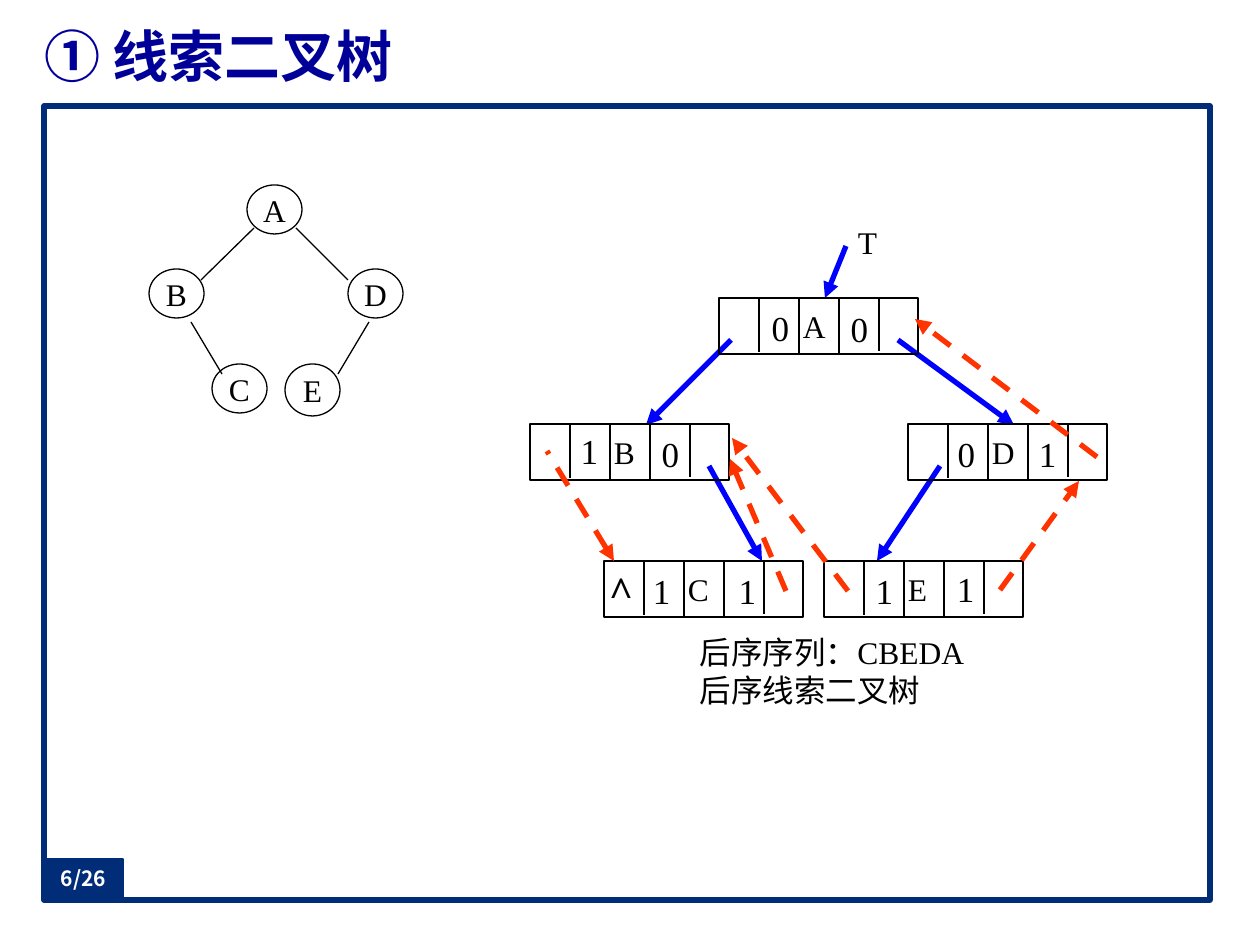
from typing import NamedTuple

from lxml.etree import SubElement
from pptx import Presentation
from pptx.dml.color import RGBColor
from pptx.enum.dml import MSO_LINE
from pptx.enum.shapes import MSO_CONNECTOR, MSO_SHAPE
from pptx.enum.text import MSO_ANCHOR as Anchor, PP_ALIGN as Align
from pptx.oxml.ns import qn
from pptx.util import Emu, Pt

EMU_PER_PX = 914400 / 126
NAVY = RGBColor(0x01, 0x2D, 0x78)
TITLE_BLUE = RGBColor(0x00, 0x00, 0x99)
POINTER_BLUE = RGBColor(0x00, 0x00, 0xFF)
THREAD_RED = RGBColor(0xFF, 0x33, 0x00)
BLACK = RGBColor(0x00, 0x00, 0x00)
WHITE = RGBColor(0xFF, 0xFF, 0xFF)
SERIF = "Times New Roman"
CJK = "Noto Sans CJK SC"
RECORD_WIDTH, RECORD_HEIGHT = 199, 56
DIVIDER_HEIGHTS = (54, 56, 56, 53)
CELL_WIDTH = 40


class Box(NamedTuple):
    left: int
    top: int
    width: int
    height: int


class Segment(NamedTuple):
    x1: int
    y1: int
    x2: int
    y2: int
    arrow_end: str = "tailEnd"


class Style(NamedTuple):
    size: int = 18
    color: RGBColor = BLACK
    bold: bool = False
    font: str = SERIF
    align: Align = Align.CENTER
    anchor: Anchor = Anchor.MIDDLE


class Tag(NamedTuple):
    text: str
    dx: int
    dy: int


class Record(NamedTuple):
    name: str
    left: int
    top: int
    tags: tuple[Tag, Tag]


class TreeNode(NamedTuple):
    name: str
    left: int
    top: int
    height: int = 49


POINTERS = (
    Segment(731, 340, 646, 425),
    Segment(898, 340, 1014, 425),
    Segment(709, 466, 762, 561),
    Segment(940, 466, 877, 561),
    Segment(846, 246, 825, 298),
)
THREADS = (
    Segment(614, 561, 547, 451, "headEnd"),
    Segment(786, 591, 730, 459),
    Segment(848, 591, 732, 438),
    Segment(1000, 590, 1079, 481),
    Segment(1097, 457, 915, 319),
)
RECORDS = (
    Record("A", 719, 298, (Tag("0", 40, 2), Tag("0", 119, 3))),
    Record("B", 530, 424, (Tag("1", 38, -1), Tag("0", 119, 2))),
    Record("D", 908, 424, (Tag("0", 37, 2), Tag("1", 118, 2))),
    Record("C", 604, 561, (Tag("1", 36, 2), Tag("1", 122, 2))),
    Record("E", 824, 561, (Tag("1", 39, 2), Tag("1", 120, 0))),
)
TREE_NODES = (
    TreeNode("A", 247, 185),
    TreeNode("B", 149, 269),
    TreeNode("C", 212, 364),
    TreeNode("D", 348, 269),
    TreeNode("E", 285, 364, 52),
)
TREE_EDGES = (
    Segment(254, 228, 201, 280),
    Segment(296, 228, 348, 280),
    Segment(191, 322, 222, 374),
    Segment(369, 322, 338, 374),
)


def px(length: int) -> Emu:
    return Emu(round(length * EMU_PER_PX))


def write(shape, text: str, style: Style, margin_left: int = 0, wrap: bool = False) -> None:
    frame = shape.text_frame
    frame.word_wrap = wrap
    frame.vertical_anchor = style.anchor
    frame.margin_left = px(margin_left)
    frame.margin_right = frame.margin_top = frame.margin_bottom = 0
    frame.text = text
    for paragraph in frame.paragraphs:
        paragraph.alignment = style.align
        font = paragraph.font
        font.size = Pt(style.size)
        font.bold = style.bold
        font.color.rgb = style.color
        font.name = style.font
        SubElement(font._element, qn("a:ea")).set("typeface", CJK)


def add_text(slide, box: Box, text: str, style: Style) -> None:
    write(slide.shapes.add_textbox(*map(px, box)), text, style)


def add_outline(slide, kind: MSO_SHAPE, box: Box, color: RGBColor = BLACK,
                width: float = 0.75, fill: RGBColor | None = None):
    shape = slide.shapes.add_shape(kind, *map(px, box))
    shape.shadow.inherit = False
    if fill is None:
        shape.fill.background()
    else:
        shape.fill.solid()
        shape.fill.fore_color.rgb = fill
    shape.line.color.rgb = color
    shape.line.width = Pt(width)
    return shape


def add_line(slide, segment: Segment, color: RGBColor = BLACK, width: float = 0.75):
    connector = slide.shapes.add_connector(MSO_CONNECTOR.STRAIGHT, *map(px, segment[:4]))
    connector.line.color.rgb = color
    connector.line.width = Pt(width)
    SubElement(connector._element.spPr, qn("a:effectLst"))
    return connector


def add_arrow(slide, segment: Segment, color: RGBColor, dashed: bool = False) -> None:
    line = add_line(slide, segment, color, 3).line
    if dashed:
        line.dash_style = MSO_LINE.DASH
    SubElement(line._get_or_add_ln(), qn(f"a:{segment.arrow_end}")).set("type", "triangle")


def add_record(slide, record: Record) -> None:
    box = Box(record.left, record.top, RECORD_WIDTH, RECORD_HEIGHT)
    shape = add_outline(slide, MSO_SHAPE.RECTANGLE, box)
    write(shape, record.name, Style(align=Align.LEFT), margin_left=84, wrap=True)
    for index, height in enumerate(DIVIDER_HEIGHTS, start=1):
        x = record.left + index * CELL_WIDTH
        add_line(slide, Segment(x, record.top, x, record.top + height))
    for tag in record.tags:
        tag_box = Box(record.left + tag.dx, record.top + tag.dy, 43, 54)
        add_text(slide, tag_box, tag.text, Style(size=20))


def add_tree_node(slide, node: TreeNode) -> None:
    shape = add_outline(slide, MSO_SHAPE.OVAL, Box(node.left, node.top, 55, node.height))
    write(shape, node.name, Style())


def main() -> None:
    presentation = Presentation()
    presentation.slide_width, presentation.slide_height = px(1260), px(945)
    slide = presentation.slides.add_slide(presentation.slide_layouts[6])

    add_outline(slide, MSO_SHAPE.RECTANGLE, Box(44, 106, 1166, 794), NAVY, 3, WHITE)
    add_text(slide, Box(44, 16, 1166, 78), "① 线索二叉树",
             Style(32, TITLE_BLUE, True, align=Align.LEFT))

    for pointer in POINTERS:
        add_arrow(slide, pointer, POINTER_BLUE)
    for record in RECORDS:
        add_record(slide, record)
    label_style = Style(align=Align.LEFT, anchor=Anchor.TOP)
    add_text(slide, Box(858, 223, 30, 40), "T", label_style)
    add_text(slide, Box(700, 633, 300, 84), "后序序列：CBEDA\n后序线索二叉树", label_style)
    add_text(slide, Box(596, 558, 50, 63), "^", Style(size=24, bold=True))
    for thread in THREADS:
        add_arrow(slide, thread, THREAD_RED, dashed=True)

    for node in TREE_NODES:
        add_tree_node(slide, node)
    for edge in TREE_EDGES:
        add_line(slide, edge)

    page_badge = add_outline(slide, MSO_SHAPE.RECTANGLE, Box(44, 859, 79, 39), NAVY, fill=NAVY)
    write(page_badge, "6/26", Style(12, WHITE, True, CJK), wrap=True)
    presentation.save("out.pptx")


if __name__ == "__main__":
    main()
